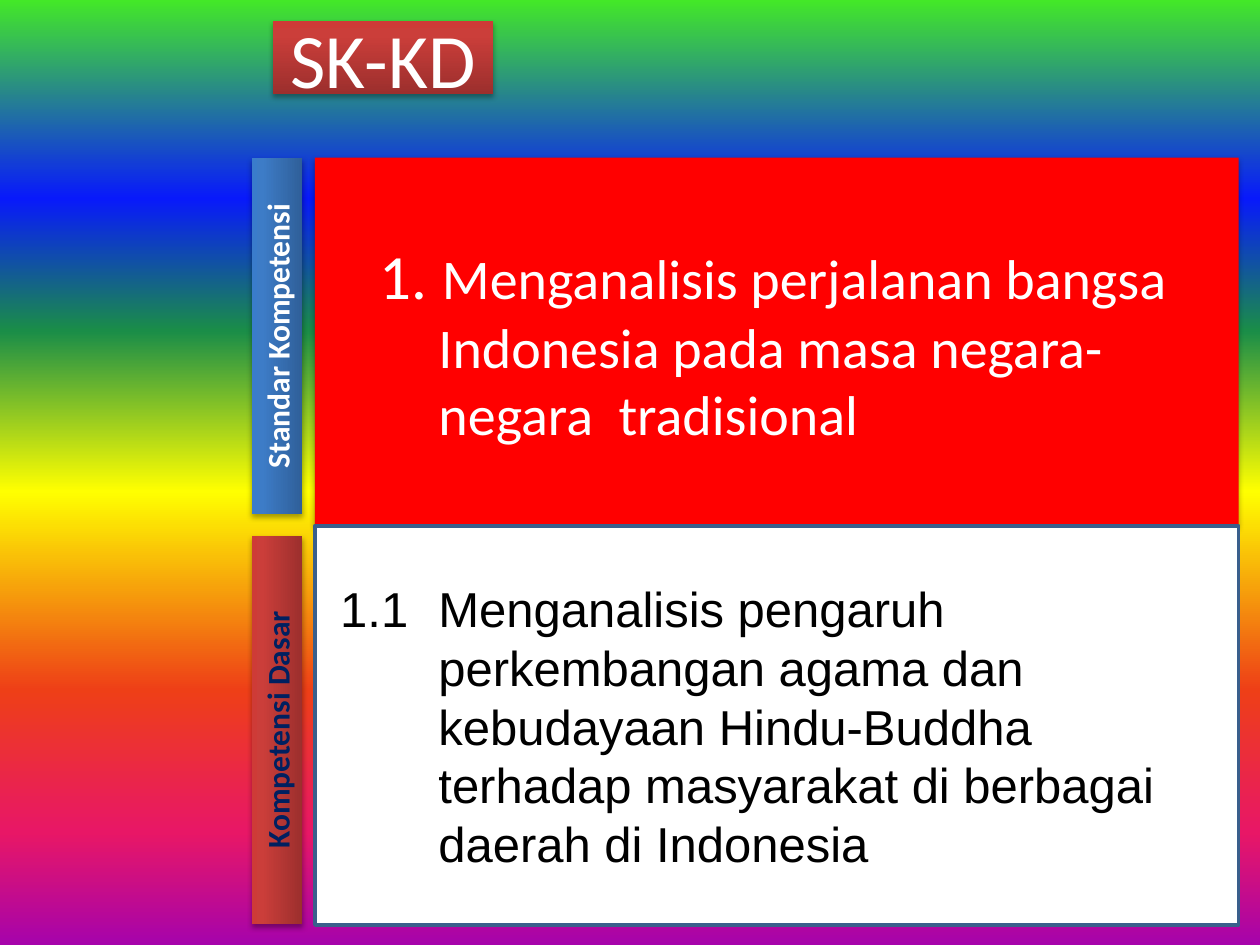
from lxml import etree
from pptx import Presentation
from pptx.dml.color import RGBColor
from pptx.enum.shapes import MSO_SHAPE
from pptx.enum.text import MSO_ANCHOR, MSO_AUTO_SIZE, PP_ALIGN
from pptx.oxml.ns import qn
from pptx.util import Cm, Pt

RECT = MSO_SHAPE.RECTANGLE
TOP, MIDDLE = MSO_ANCHOR.TOP, MSO_ANCHOR.MIDDLE
GROW = MSO_AUTO_SIZE.SHAPE_TO_FIT_TEXT
CENTER, LEFT = PP_ALIGN.CENTER, PP_ALIGN.LEFT

RAINBOW = [(0, "43E828"), (21, "0819FB"), (35, "1A8D48"), (52, "FFFF00"),
           (73, "EE3F17"), (88, "E81766"), (100, "A603AB")]
BLUE = [(0, "2F5F99"), (80, "3D7CC7"), (100, "3A7CCB")]
RED = [(0, "9C2F2D"), (80, "CB3E3A"), (100, "CE3B37")]
WHITE, NAVY, BLACK = "FFFFFF", "002060", "000000"
PANEL_X, PANEL_W = 6.35, 18.62
BAR_X, BAR_W = 5.08, 1.02


def color(code):
    return RGBColor.from_string(code)


def add_tint(parent, code):
    return etree.SubElement(parent, qn("a:srgbClr"), val=code)


def set_blend(owner, fill, stops, angle):
    fill.gradient()
    fill.gradient_angle = angle
    group = owner.element.find(".//" + qn("a:gsLst"))
    for stop in list(group):
        group.remove(stop)
    for place, code in stops:
        stop = etree.SubElement(group, qn("a:gs"), pos=str(place * 1000))
        add_tint(stop, code)


def add_shade(shape):
    effects = shape.element.spPr.find(qn("a:effectLst"))
    shade = etree.SubElement(
        effects, qn("a:outerShdw"), blurRad=str(Pt(3.1)), dist=str(Pt(1.8)),
        dir="5400000", algn="t", rotWithShape="0")
    etree.SubElement(add_tint(shade, BLACK), qn("a:alpha"), val="35000")


def add_box(slide, left, top, width, height, fill, shade=True):
    box = slide.shapes.add_shape(RECT, Cm(left), Cm(top), Cm(width), Cm(height))
    box.shadow.inherit = False
    box.line.fill.background()
    if isinstance(fill, str):
        box.fill.solid()
        box.fill.fore_color.rgb = color(fill)
    else:
        set_blend(box, box.fill, fill, 90)
    if shade:
        add_shade(box)
    return box


def style(run, size, code, font="Calibri", bold=False):
    run.font.size = Pt(size)
    run.font.name = font
    run.font.bold = bold
    run.font.color.rgb = color(code)


def write(box, text, align=CENTER, anchor=MIDDLE):
    frame = box.text_frame
    frame.word_wrap = True
    frame.vertical_anchor = anchor
    frame.text = text
    para = frame.paragraphs[0]
    para.alignment = align
    return para


def hang(para, margin, indent):
    props = para._p.get_or_add_pPr()
    props.set("marL", str(Cm(margin)))
    props.set("indent", str(Cm(-indent)))


def add_title(slide):
    box = add_box(slide, 5.5, 0.42, 4.45, 1.47, RED)
    style(write(box, "SK-KD").runs[0], 44, WHITE)


def add_bar(slide, top, length, text, fill, code):
    left = BAR_X + (BAR_W - length) / 2
    mid = top + (length - BAR_W) / 2
    bar = add_box(slide, left, mid, length, BAR_W, fill)
    bar.rotation = 270
    style(write(bar, text, anchor=TOP).runs[0], 18, code, bold=True)
    bar.text_frame.auto_size = GROW


def add_goal(slide):
    box = add_box(slide, PANEL_X, 3.18, PANEL_W, 7.42, "FF0000")
    para = write(box, "1. ", LEFT)
    hang(para, 2.24, 1.18)
    para.add_run().text = ("Menganalisis perjalanan bangsa Indonesia "
                           "pada masa negara-negara  tradisional")
    for run, size in zip(para.runs, (36, 32)):
        style(run, size, WHITE)


def add_basis(slide):
    box = add_box(slide, PANEL_X, 10.6, PANEL_W, 8.05, WHITE, shade=False)
    box.line.color.rgb = color("3A5F8C")
    box.line.width = Pt(2)
    para = write(box, "1.1\tMenganalisis pengaruh perkembangan agama dan "
                 "kebudayaan Hindu-Buddha terhadap masyarakat di berbagai "
                 "daerah di Indonesia", LEFT)
    hang(para, 2.24, 1.98)
    style(para.runs[0], 28, BLACK, "Arial")


def main():
    deck = Presentation()
    deck.slide_width, deck.slide_height = Cm(25.4), Cm(19.05)
    slide = deck.slides.add_slide(deck.slide_layouts[6])
    set_blend(slide, slide.background.fill, RAINBOW, 270)
    add_title(slide)
    add_bar(slide, 3.18, 7.19, "Standar Kompetensi", BLUE, WHITE)
    add_bar(slide, 10.8, 7.82, "Kompetensi Dasar", RED, NAVY)
    add_goal(slide)
    add_basis(slide)
    deck.save("out.pptx")


if __name__ == "__main__":
    main()
